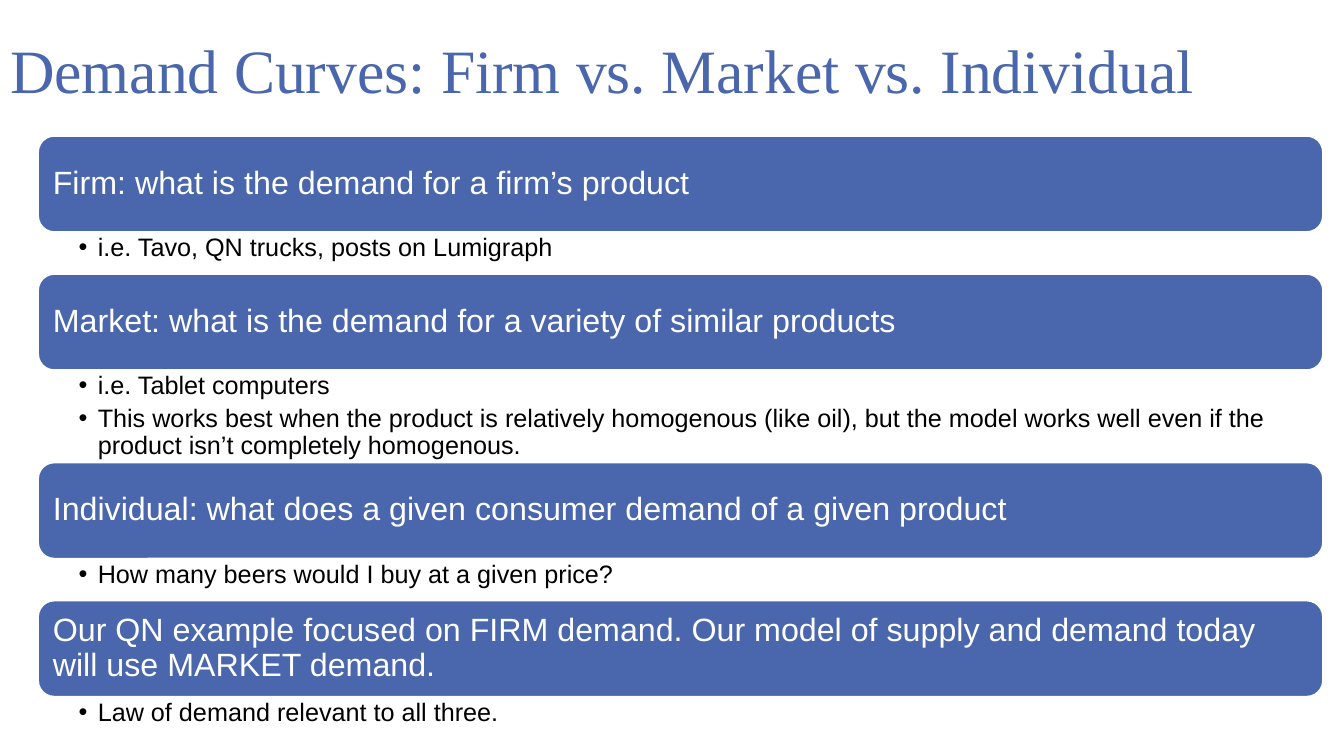
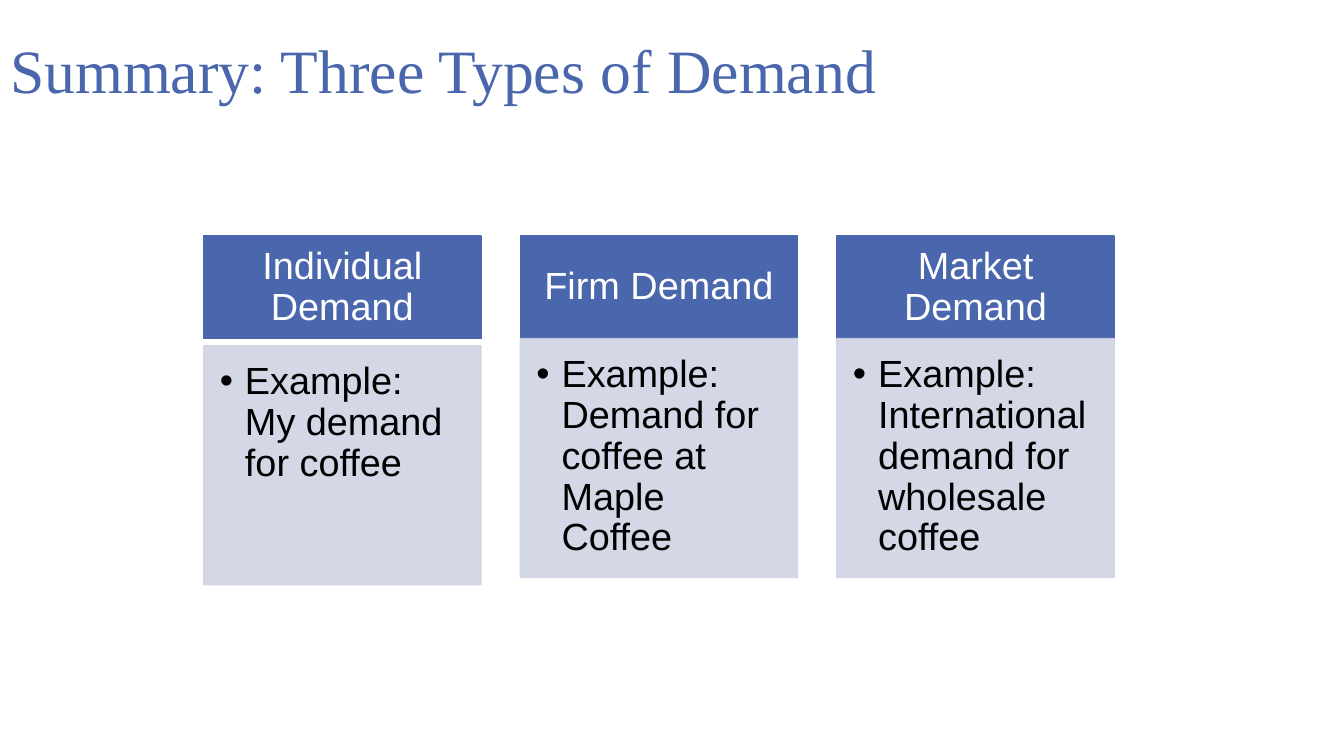
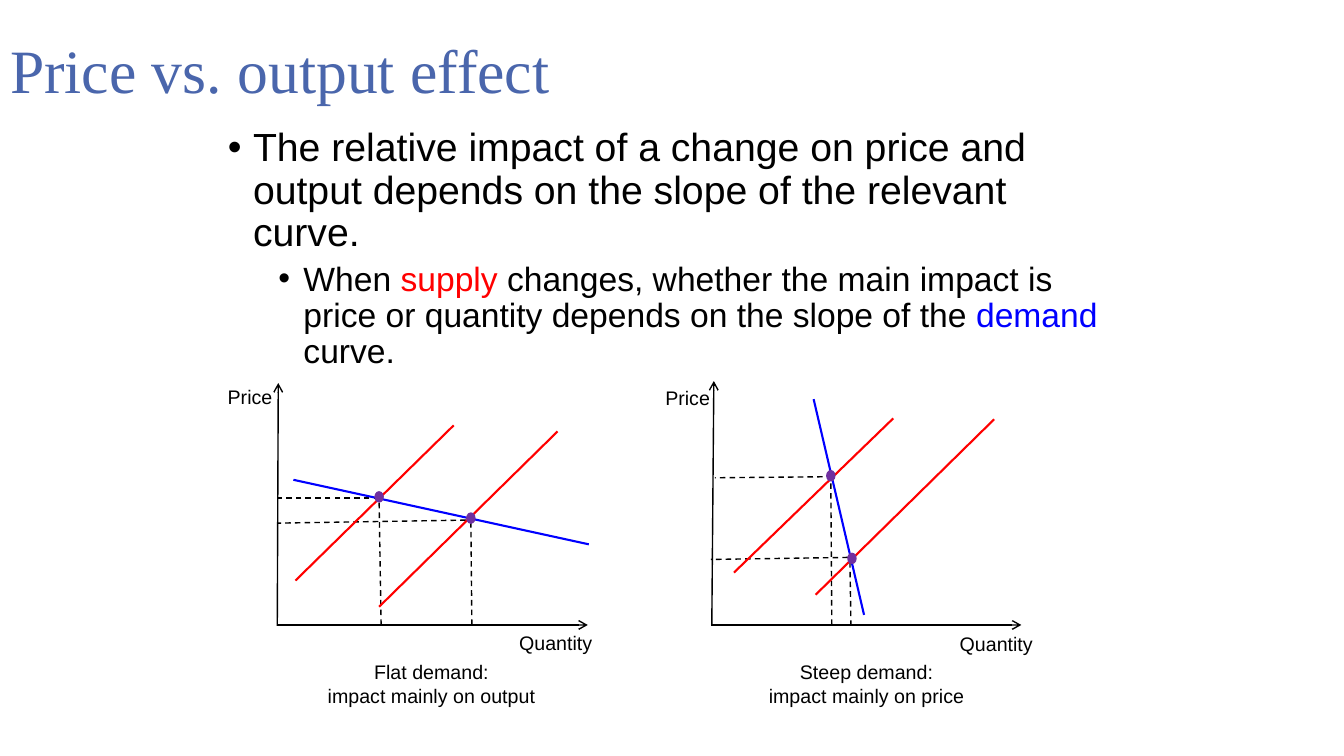
from dataclasses import dataclass

from lxml import etree
from pptx import Presentation
from pptx.dml.color import RGBColor
from pptx.enum.dml import MSO_LINE
from pptx.enum.shapes import MSO_CONNECTOR, MSO_SHAPE
from pptx.enum.text import MSO_ANCHOR, MSO_AUTO_SIZE, PP_ALIGN
from pptx.oxml.ns import qn
from pptx.util import Inches, Pt

RECTANGLE = MSO_SHAPE.RECTANGLE
ROUNDED = MSO_SHAPE.ROUNDED_RECTANGLE
OVAL = MSO_SHAPE.OVAL
STRAIGHT = MSO_CONNECTOR.STRAIGHT
DASH = MSO_LINE.DASH
TOP, MIDDLE = MSO_ANCHOR.TOP, MSO_ANCHOR.MIDDLE
LEFT, CENTER = PP_ALIGN.LEFT, PP_ALIGN.CENTER
FIXED_SIZE = MSO_AUTO_SIZE.NONE
CONTENT_LAYOUT, TITLE_LAYOUT = 1, 5


@dataclass(frozen=True)
class Theme:
    title_font: str = "Times New Roman"
    body_font: str = "Arial"
    accent: str = "4A66AC"
    panel: str = "D0D3E3"
    white: str = "FFFFFF"
    black: str = "000000"
    supply: str = "FF0000"
    demand: str = "0000FF"
    equilibrium: str = "7030A0"
    title_size: int = 44
    body_size: int = 28
    sub_size: int = 24
    column_size: int = 27
    bar_size: int = 23
    detail_size: int = 18
    label_size: int = 14


class Deck:
    """Holds the presentation, its theme and the slide being built."""

    def __init__(self, theme):
        self.theme = theme
        self.presentation = Presentation()
        self.presentation.slide_width = Inches(13.33)
        self.presentation.slide_height = Inches(7.5)
        self.slide = None

    def new_slide(self, title, layout=TITLE_LAYOUT, title_width=11.5):
        layouts = self.presentation.slide_layouts
        self.slide = self.presentation.slides.add_slide(layouts[layout])
        shape = self.slide.shapes.title
        self.place(shape, (0, 0, title_width, 1.45))
        shape.text_frame.text = title
        self.frame(shape, MIDDLE)
        self.format(shape.text_frame.paragraphs[0], self.theme.title_size,
                    self.theme.accent, font=self.theme.title_font)

    def place(self, shape, box):
        shape.left, shape.top, shape.width, shape.height = map(Inches, box)

    def frame(self, shape, anchor=TOP, insets=(0.1, 0.05, 0.1, 0.05)):
        frame = shape.text_frame
        frame.word_wrap = True
        frame.auto_size = FIXED_SIZE
        frame.vertical_anchor = anchor
        (frame.margin_left, frame.margin_top,
         frame.margin_right, frame.margin_bottom) = map(Inches, insets)

    def format(self, paragraph, size, color, align=LEFT, spacing=0.9,
               before=0, after=0, font=None):
        paragraph.alignment = align
        paragraph.line_spacing = spacing
        paragraph.space_before = Pt(before)
        paragraph.space_after = Pt(after)
        for run in paragraph.runs:
            run.font.name = font or self.theme.body_font
            run.font.size = Pt(size)
            run.font.color.rgb = RGBColor.from_string(color)

    def bullet(self, paragraph, margin, hanging, level=1):
        paragraph.level = level
        properties = paragraph._p.get_or_add_pPr()
        properties.set("marL", str(Inches(margin)))
        properties.set("indent", str(-Inches(hanging)))
        etree.SubElement(properties, qn("a:buFont"), typeface=self.theme.body_font)
        etree.SubElement(properties, qn("a:buChar"), char="•")

    def shape(self, kind, box, fill, line, opacity=100):
        shape = self.slide.shapes.add_shape(kind, *map(Inches, box))
        shape.shadow.inherit = False
        shape.fill.solid()
        shape.fill.fore_color.rgb = RGBColor.from_string(fill)
        shape.line.color.rgb = RGBColor.from_string(line)
        shape.line.width = Pt(1)
        if opacity < 100:
            for color in shape._element.spPr.iter(qn("a:srgbClr")):
                etree.SubElement(color, qn("a:alpha"), val=str(opacity * 1000))
        return shape

    def bar(self, text, box):
        shape = self.shape(ROUNDED, box, self.theme.accent, self.theme.white)
        shape.text_frame.text = text
        self.frame(shape, MIDDLE, (0.1, 0.1, 0.1, 0.1))
        self.format(shape.text_frame.paragraphs[0], self.theme.bar_size, self.theme.white)

    def details(self, lines, box):
        shape = self.slide.shapes.add_textbox(*map(Inches, box))
        shape.text_frame.text = "\n".join(lines)
        self.frame(shape, TOP, (0.4, 0.03, 0.18, 0.03))
        for paragraph in shape.text_frame.paragraphs:
            self.format(paragraph, self.theme.detail_size, self.theme.black, after=3.6)
            self.bullet(paragraph, 0.19, 0.19)

    def column(self, heading, example, left, panel_top):
        theme = self.theme
        header = self.shape(RECTANGLE, (left, 2.34, 2.75, 1.02), theme.accent, theme.accent)
        header.text_frame.text = heading
        self.frame(header, MIDDLE, (0.21, 0.12, 0.21, 0.12))
        self.format(header.text_frame.paragraphs[0], theme.column_size, theme.white, CENTER)
        panel = self.shape(RECTANGLE, (left, panel_top, 2.75, 2.37),
                           theme.panel, theme.panel, opacity=90)
        panel.text_frame.text = example
        self.frame(panel, TOP, (0.16, 0.16, 0.21, 0.24))
        paragraph = panel.text_frame.paragraphs[0]
        self.format(paragraph, theme.column_size, theme.black)
        self.bullet(paragraph, 0.25, 0.25)

    def body(self, main, sub_runs, box):
        shape = self.slide.placeholders[1]
        self.place(shape, box)
        self.frame(shape)
        first = shape.text_frame.paragraphs[0]
        first.text = main
        self.format(first, self.theme.body_size, self.theme.black, before=10)
        self.bullet(first, 0.25, 0.25, level=0)
        second = shape.text_frame.add_paragraph()
        for text, _ in sub_runs:
            second.add_run().text = text
        self.format(second, self.theme.sub_size, self.theme.black, before=5)
        self.bullet(second, 0.75, 0.25)
        for run, (_, color) in zip(second.runs, sub_runs):
            run.font.color.rgb = RGBColor.from_string(color)

    def line(self, start, end, color, width=1.0, dashed=False, arrow=False):
        connector = self.slide.shapes.add_connector(
            STRAIGHT, *map(Inches, (*start, *end)))
        connector.line.color.rgb = RGBColor.from_string(color)
        connector.line.width = Pt(width)
        if dashed:
            connector.line.dash_style = DASH
        properties = connector._element.spPr
        if arrow:
            etree.SubElement(properties.find(qn("a:ln")), qn("a:tailEnd"), type="arrow")
        etree.SubElement(properties, qn("a:effectLst"))

    def label(self, text, box, align=LEFT):
        shape = self.slide.shapes.add_textbox(*map(Inches, box))
        shape.text_frame.text = text
        self.frame(shape)
        self.format(shape.text_frame.paragraphs[0], self.theme.label_size,
                    self.theme.black, align, spacing=1.0)

    def graph(self, axes, guides, supplies, demand, equilibria, labels, caption):
        theme = self.theme
        for guide in guides:
            self.line(*guide, theme.black, dashed=True)
        for axis in axes:
            self.line(*axis, theme.black, arrow=True)
        for supply in supplies:
            self.line(*supply, theme.supply, 1.5)
        self.line(*demand, theme.demand, 1.5)
        for x, y in equilibria:
            self.shape(OVAL, (x - 0.04, y - 0.05, 0.08, 0.1),
                       theme.equilibrium, theme.equilibrium)
        for text, box in zip(("Price", "Quantity"), labels):
            self.label(text, box)
        self.label(*caption, CENTER)


def build_demand_curves(deck):
    """Stack a bar and its details for each kind of demand."""
    deck.new_slide("Demand Curves: Firm vs. Market vs. Individual", title_width=12.11)
    sections = [
        ("Firm: what is the demand for a firm’s product", 0.42,
         ["i.e. Tavo, QN trucks, posts on Lumigraph"]),
        ("Market: what is the demand for a variety of similar products", 0.92,
         ["i.e. Tablet computers",
          "This works best when the product is relatively homogenous (like oil), "
          "but the model works well even if the product isn’t completely homogenous."]),
        ("Individual: what does a given consumer demand of a given product", 0.42,
         ["How many beers would I buy at a given price?"]),
        ("Our QN example focused on FIRM demand. Our model of supply and demand "
         "today will use MARKET demand.", 0.42,
         ["Law of demand relevant to all three."]),
    ]
    left, top, width, bar_height = 0.38, 1.35, 12.74, 0.95
    for heading, details_height, lines in sections:
        deck.bar(heading, (left, top, width, bar_height))
        top += bar_height
        deck.details(lines, (left, top, width, details_height))
        top += details_height


def build_summary(deck):
    """Set the three types of demand side by side."""
    deck.new_slide("Summary: Three Types of Demand")
    columns = [
        ("Individual Demand", "Example: My demand for coffee", 3.43),
        ("Firm Demand", "Example: Demand for coffee at Maple Coffee", 3.36),
        ("Market Demand", "Example: International demand for wholesale coffee", 3.36),
    ]
    for index, (heading, example, panel_top) in enumerate(columns):
        deck.column(heading, example, 2.02 + 3.14 * index, panel_top)


def build_price_output(deck):
    """Compare a supply shift under flat and steep demand."""
    theme = deck.theme
    deck.new_slide("Price vs. output effect", CONTENT_LAYOUT)
    deck.body(
        "The relative impact of a change on price and output depends on the "
        "slope of the relevant curve.",
        [("When ", theme.black), ("supply", theme.supply),
         (" changes, whether the main impact is price or quantity depends on "
          "the slope of the ", theme.black),
         ("demand", theme.demand), (" curve.", theme.black)],
        (2.16, 1.22, 9, 5.6))
    deck.graph(
        axes=[((2.75, 6.21), (2.76, 3.8)), ((2.75, 6.2), (5.83, 6.2))],
        guides=[((3.76, 4.94), (2.76, 4.94)), ((3.78, 6.2), (3.76, 4.96)),
                ((4.62, 5.16), (2.75, 5.19)), ((4.68, 6.2), (4.67, 5.12))],
        supplies=[((2.93, 5.76), (4.5, 4.22)), ((3.76, 6.02), (5.53, 4.28))],
        demand=((2.91, 4.76), (5.84, 5.4)),
        equilibria=[(3.76, 4.93), (4.67, 5.14)],
        labels=[(2.16, 3.77, 0.84, 0.34), (5.05, 6.21, 0.98, 0.34)],
        caption=("Flat demand:\vimpact mainly on output", (2.73, 6.5, 3.1, 0.57)))
    deck.graph(
        axes=[((7.06, 6.19), (7.08, 3.78)), ((7.05, 6.2), (10.13, 6.2))],
        guides=[((8.16, 4.73), (7.09, 4.74)), ((8.25, 6.2), (8.24, 4.72)),
                ((8.41, 5.53), (7.05, 5.55)), ((8.44, 6.21), (8.43, 5.58))],
        supplies=[((7.28, 5.68), (8.86, 4.15)), ((8.09, 5.9), (9.86, 4.16))],
        demand=((8.07, 3.96), (8.57, 6.1)),
        equilibria=[(8.24, 4.72), (8.45, 5.54)],
        labels=[(6.5, 3.78, 0.84, 0.34), (9.42, 6.22, 1.26, 0.34)],
        caption=("Steep demand:\vimpact mainly on price", (7.06, 6.5, 3.07, 0.57)))


def main():
    """Build the three slides and save them."""
    deck = Deck(Theme())
    build_demand_curves(deck)
    build_summary(deck)
    build_price_output(deck)
    deck.presentation.save("out.pptx")


if __name__ == "__main__":
    main()
